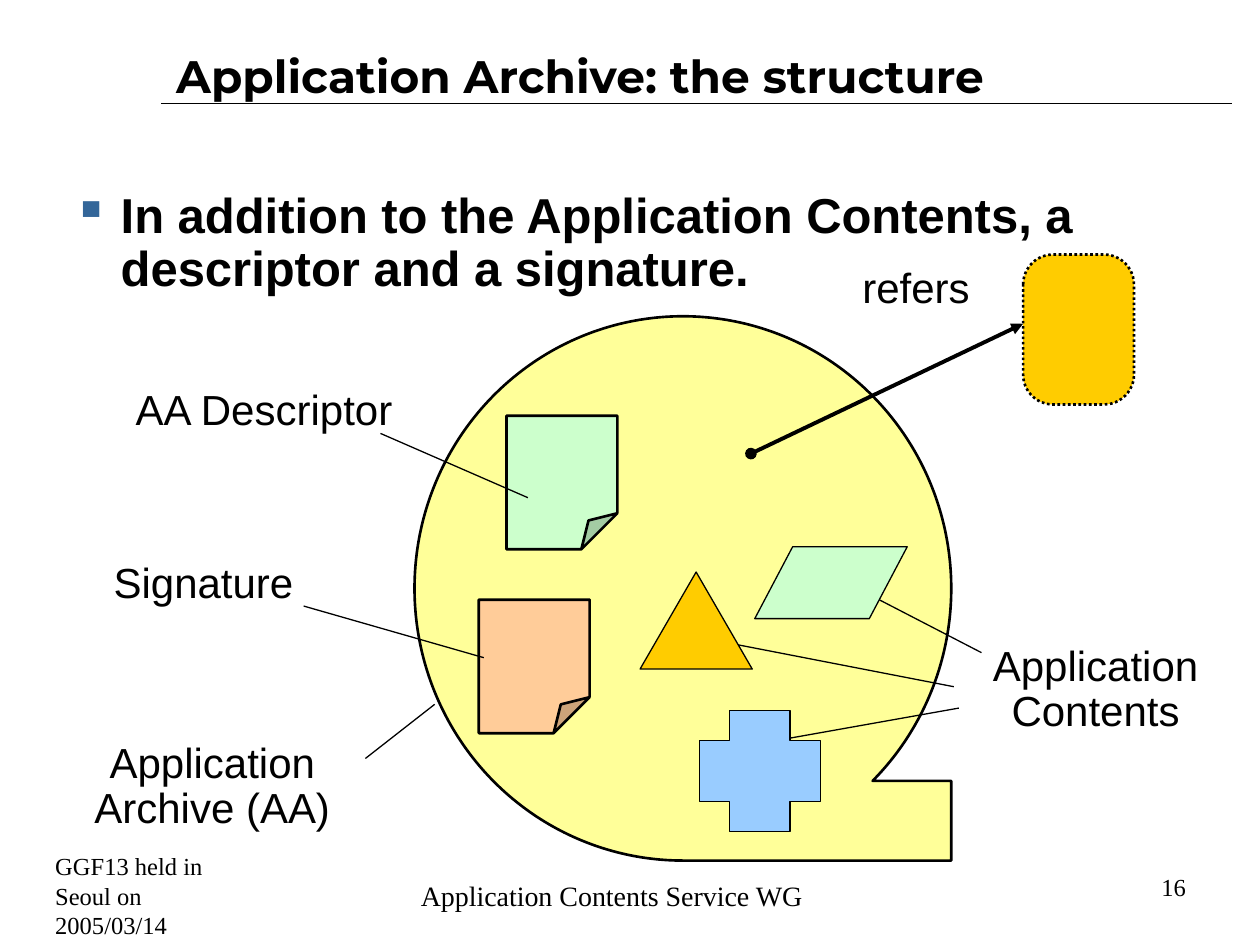
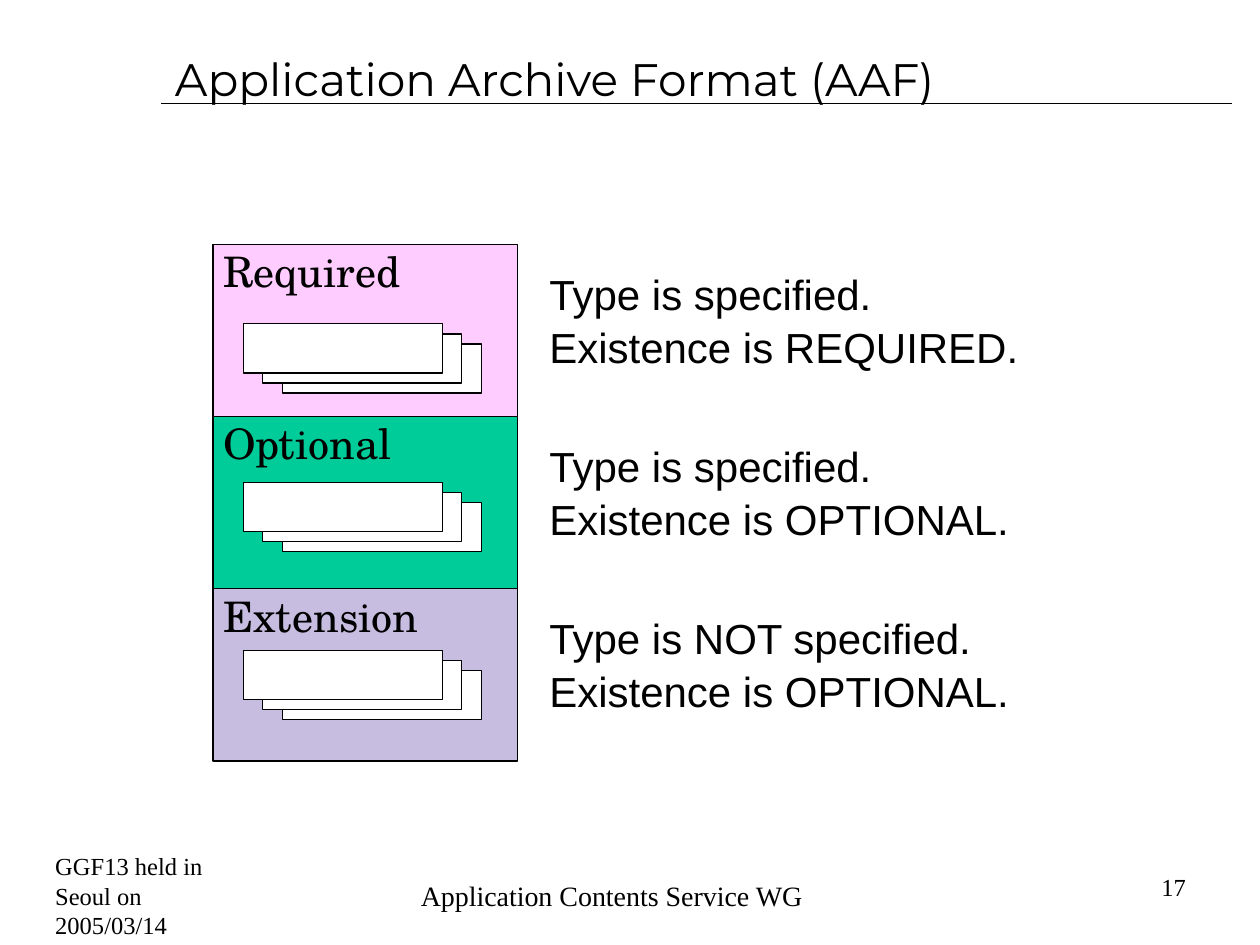
from dataclasses import dataclass

from lxml import etree
from pptx import Presentation
from pptx.dml.color import RGBColor
from pptx.enum.dml import MSO_LINE
from pptx.enum.shapes import MSO_CONNECTOR, MSO_SHAPE as SHAPE
from pptx.enum.text import MSO_ANCHOR as ANCHOR, PP_ALIGN as ALIGN
from pptx.oxml.ns import qn
from pptx.util import Inches, Pt

BLACK, WHITE = "000000", "FFFFFF"
YELLOW, GOLD, MINT, PEACH, SKY = "FFFF99", "FFCC00", "CCFFCC", "FFCC99", "99CCFF"
PINK, GREEN, LAVENDER, BULLET_BLUE = "FFCCFF", "00CC99", "C7BDE1", "336699"
TITLE_FONT, BODY_FONT = "Montserrat", "Arial"
BAND_FONT, FOOTER_FONT = "TeX Gyre Schola", "Times New Roman"


@dataclass
class Box:
    left: float
    top: float
    width: float
    height: float

    def inner(self, dx, dy, width, height):
        """Return a box offset from this one's top left corner."""
        return Box(self.left + dx, self.top + dy, width, height)

    def lengths(self):
        return [Inches(v) for v in (self.left, self.top, self.width, self.height)]


def color(hex_string):
    return RGBColor.from_string(hex_string)


def write_text(frame, lines, size, font, bold=False, align=ALIGN.LEFT,
               anchor=ANCHOR.TOP, spacing=None, insets=(0.1, 0.05)):
    frame.word_wrap = True
    frame.vertical_anchor = anchor
    frame.margin_left = frame.margin_right = Inches(insets[0])
    frame.margin_top = frame.margin_bottom = Inches(insets[1])
    for index, line in enumerate(lines):
        para = frame.paragraphs[0] if index == 0 else frame.add_paragraph()
        para.alignment = align
        if spacing:
            para.line_spacing = spacing
        span = para.add_run()
        span.text = line
        span.font.size = Pt(size)
        span.font.name = font
        span.font.bold = bold
        span.font.color.rgb = color(BLACK)


def add_text(page, box, lines, size, font, **style):
    frame = page.shapes.add_textbox(*box.lengths()).text_frame
    write_text(frame, lines, size, font, **style)
    return frame


def set_adjustment(figure, value):
    """Set the first adjustment, also for shapes python-pptx lists none for."""
    geometry = figure._element.spPr.find(qn("a:prstGeom"))
    guides = geometry.find(qn("a:avLst"))
    if guides is None:
        guides = etree.SubElement(geometry, qn("a:avLst"))
    for guide in list(guides):
        guides.remove(guide)
    guide = etree.SubElement(guides, qn("a:gd"))
    guide.set("name", "adj")
    guide.set("fmla", f"val {round(value * 100000)}")


def add_figure(page, kind, box, fill, weight=0.75, adjust=None):
    figure = page.shapes.add_shape(kind, *box.lengths())
    figure.shadow.inherit = False
    figure.fill.solid()
    figure.fill.fore_color.rgb = color(fill)
    figure.line.color.rgb = color(BLACK)
    figure.line.width = Pt(weight)
    if adjust is not None:
        set_adjustment(figure, adjust)
    return figure


def add_line(page, start, end, weight=0.75):
    points = [Inches(v) for v in (*start, *end)]
    line = page.shapes.add_connector(MSO_CONNECTOR.STRAIGHT, *points)
    line.line.color.rgb = color(BLACK)
    line.line.width = Pt(weight)
    etree.SubElement(line._element.spPr, qn("a:effectLst"))
    return line


def add_bullet(para, symbol, hex_string, indent):
    props = para._p.get_or_add_pPr()
    props.set("marL", str(Inches(indent)))
    props.set("indent", str(-Inches(indent)))
    tint = etree.SubElement(props, qn("a:buClr"))
    etree.SubElement(tint, qn("a:srgbClr")).set("val", hex_string)
    etree.SubElement(props, qn("a:buChar")).set("char", symbol)


def add_page(deck, number, title, title_box, bold=False):
    """Add a page with the shared rule, title and footers."""
    page = deck.slides.add_slide(deck.slide_layouts[6])
    add_line(page, (1.28, 0.82), (9.78, 0.82))
    add_text(page, title_box, [title], 26, TITLE_FONT, bold=bold,
             anchor=ANCHOR.MIDDLE)
    footers = [
        (Box(3.04, 6.83, 3.63, 0.55), "Application Contents Service WG", 16, ALIGN.CENTER),
        (Box(8.56, 6.92, 0.95, 0.24), str(number), 14, ALIGN.RIGHT),
        (Box(0.34, 6.92, 1.76, 0.37), "GGF13 held in Seoul on 2005/03/14", 14, ALIGN.LEFT),
    ]
    for box, text, size, align in footers:
        add_text(page, box, [text], size, FOOTER_FONT, align=align,
                 anchor=ANCHOR.MIDDLE)
    return page


def add_statement(page, box, text):
    frame = add_text(page, box, [text], 28, BODY_FONT, bold=True, spacing=0.9)
    para = frame.paragraphs[0]
    para.space_after = Pt(7)
    add_bullet(para, "▪", BULLET_BLUE, 0.38)


def add_reference(page, box, start):
    """Draw the dotted outside item and the arrow that points at it."""
    target = add_figure(page, SHAPE.ROUNDED_RECTANGLE, box, GOLD, 1.5, 0.27)
    target.line.dash_style = MSO_LINE.ROUND_DOT
    arrow = add_line(page, start, (box.left, box.top + 0.55), 2.25)
    stroke = arrow.line._get_or_add_ln()
    etree.SubElement(stroke, qn("a:headEnd")).set("type", "oval")
    etree.SubElement(stroke, qn("a:tailEnd")).set("type", "triangle")


def add_archive_diagram(page, box):
    add_figure(page, SHAPE.FLOWCHART_SEQUENTIAL_ACCESS_STORAGE,
               box.inner(3.02, 0.49, 4.26, 4.32), YELLOW, 1.5)
    for dx, dy, fill in [(3.75, 1.28, MINT), (3.53, 2.74, PEACH)]:
        add_figure(page, SHAPE.FOLDED_CORNER, box.inner(dx, dy, 0.88, 1.06),
                   fill, 1.5, 0.325)
    add_reference(page, box.inner(7.85, 0, 0.88, 1.19),
                  (box.left + 5.69, box.top + 1.58))

    labels = [
        ("AA Descriptor", (0.41, 1.02, 2.83, 0.6)),
        ("Signature", (0.39, 2.39, 1.91, 0.66)),
        ("Application Archive (AA)", (0, 3.82, 2.83, 0.93)),
        ("Application Contents", (7.4, 3.05, 2.05, 0.87)),
        ("refers", (6.3, 0.05, 1.4, 0.63)),
    ]
    for text, place in labels:
        add_text(page, box.inner(*place), [text], 24, BODY_FONT,
                 align=ALIGN.CENTER, spacing=0.9)

    leaders = [
        (2.63, 4, 3.18, 3.57), (2.14, 2.79, 3.57, 3.2), (2.75, 1.42, 3.92, 1.93),
        (6.36, 2.56, 7.52, 3.16), (5.34, 3.05, 7.3, 3.43), (5.99, 3.84, 7.34, 3.6),
    ]
    for x1, y1, x2, y2 in leaders:
        add_line(page, (box.left + x1, box.top + y1), (box.left + x2, box.top + y2))

    contents = [
        (SHAPE.ISOSCELES_TRIANGLE, (4.81, 2.52, 0.89, 0.77), GOLD, 0.5),
        (SHAPE.PARALLELOGRAM, (5.72, 2.32, 1.21, 0.57), MINT, 0.527),
        (SHAPE.CROSS, (5.28, 3.62, 0.96, 0.96), SKY, 0.25),
    ]
    for kind, place, fill, adjust in contents:
        add_figure(page, kind, box.inner(*place), fill, adjust=adjust)


def add_card_stack(page, box):
    """Draw three cards, the front one at the top left of the box."""
    for step in (2, 1, 0):
        add_figure(page, SHAPE.RECTANGLE,
                   box.inner(0.155 * step, 0.08 * step, 1.58, 0.39), WHITE)


def add_band(page, box, name, fill, notes, stack_top):
    band = add_figure(page, SHAPE.RECTANGLE, box, fill)
    insets = (0.08, 0.01)
    write_text(band.text_frame, [name], 24, BAND_FONT, insets=insets)
    add_text(page, box.inner(2.59, 0.16, 4.93, 1.37), notes, 24, BODY_FONT,
             spacing=1.05, insets=insets)
    add_card_stack(page, box.inner(0.24, stack_top, 1.89, 0.55))


def add_format_bands(page, box):
    bands = [
        ("Required", PINK, ["Type is specified.", "Existence is REQUIRED."], 0.63),
        ("Optional", GREEN, ["Type is specified.", "Existence is OPTIONAL."], 0.52),
        ("Extension", LAVENDER, ["Type is NOT specified.", "Existence is OPTIONAL."], 0.49),
    ]
    height = box.height / len(bands)
    for row, band in enumerate(bands):
        add_band(page, box.inner(0, row * height, box.width, height), *band)


def main():
    deck = Presentation()
    deck.slide_width, deck.slide_height = Inches(10), Inches(7.5)

    structure = add_page(deck, 16, "Application Archive: the structure",
                         Box(1.3, 0.28, 7.58, 0.63), bold=True)
    add_statement(structure, Box(0.48, 1.47, 8.5, 5.21),
                  "In addition to the Application Contents, a descriptor and a signature.")
    add_archive_diagram(structure, Box(0.27, 2.02, 9.45, 4.81))

    formats = add_page(deck, 17, "Application Archive Format (AAF)",
                       Box(1.29, 0.33, 8.5, 0.58))
    add_format_bands(formats, Box(1.69, 1.94, 2.42, 4.1))

    deck.save("out.pptx")


if __name__ == "__main__":
    main()
